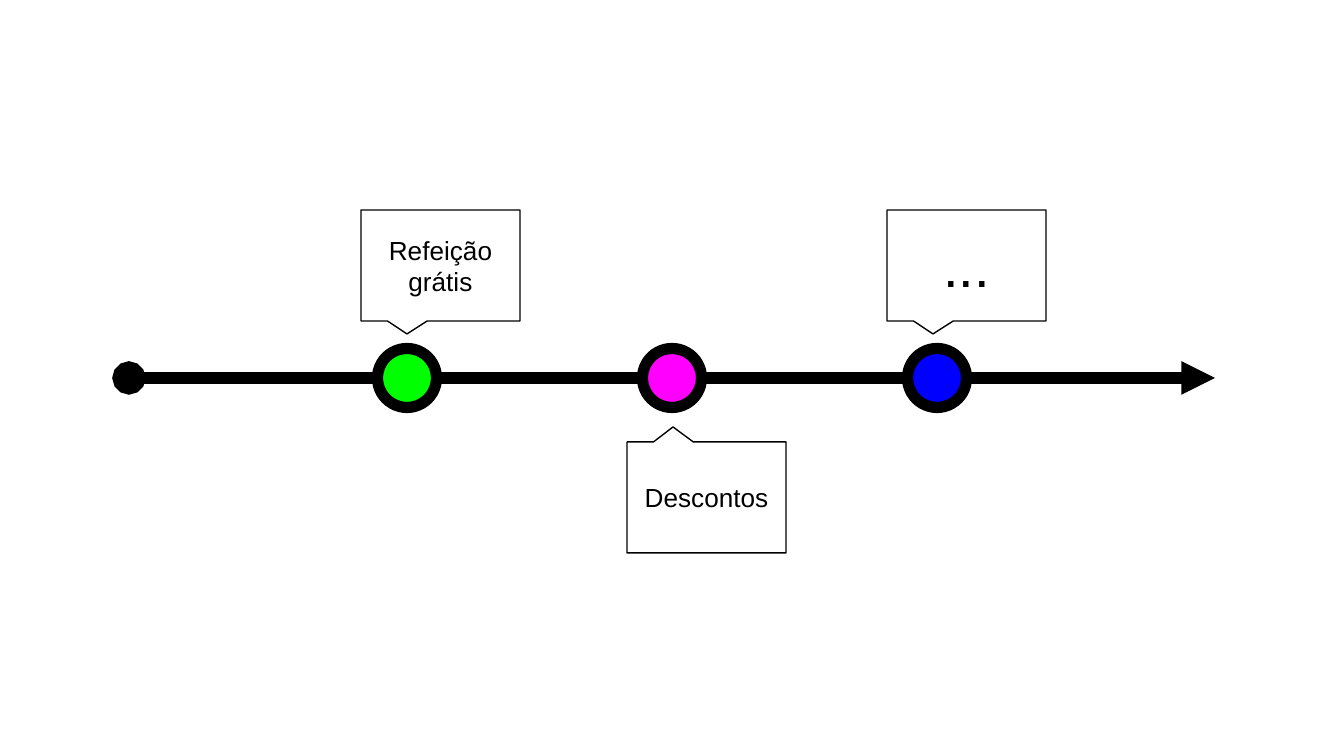
from dataclasses import dataclass

from lxml.etree import SubElement
from pptx import Presentation
from pptx.dml.color import RGBColor
from pptx.enum.shapes import MSO_CONNECTOR as Connector, MSO_SHAPE as Shape
from pptx.enum.text import MSO_ANCHOR as Anchor, PP_ALIGN as Align
from pptx.oxml.ns import qn
from pptx.util import Emu, Inches, Pt

SCALE = 914400 / 134.4


def px(length):
    return Emu(round(length * SCALE))


@dataclass(frozen=True)
class Theme:
    font: str = "Arial"
    ink: str = "000000"
    green: str = "00FF00"
    magenta: str = "FF00FF"
    blue: str = "0000FF"
    label_size: int = 14
    ellipsis_size: int = 30
    thick: float = 6
    thin: float = 0.75


class TimelineSlide:
    def __init__(self, slide, theme):
        self.slide = slide
        self.theme = theme

    def outline(self, shape, width):
        shape.line.color.rgb = RGBColor.from_string(self.theme.ink)
        shape.line.width = Pt(width)

    def axis(self, left, right, y):
        line = self.slide.shapes.add_connector(
            Connector.STRAIGHT, px(left), px(y), px(right), px(y))
        self.outline(line, self.theme.thick)
        line_properties = line.line._get_or_add_ln()
        for end, kind in (("a:headEnd", "oval"), ("a:tailEnd", "triangle")):
            SubElement(line_properties, qn(end), type=kind, w="med", len="med")
        SubElement(line._element.spPr, qn("a:effectLst"))

    def milestone(self, center_x, center_y, diameter, color):
        circle = self.slide.shapes.add_shape(
            Shape.OVAL, px(center_x - diameter / 2), px(center_y - diameter / 2),
            px(diameter), px(diameter))
        circle.shadow.inherit = False
        circle.fill.solid()
        circle.fill.fore_color.rgb = RGBColor.from_string(color)
        self.outline(circle, self.theme.thick)

    def callout(self, left, top, width, height, tip_x, tip_y, text, size):
        callout = self.slide.shapes.add_shape(
            Shape.RECTANGULAR_CALLOUT, px(left), px(top), px(width), px(height))
        callout.shadow.inherit = False
        callout.adjustments[0] = (tip_x - left) / width - 0.5
        callout.adjustments[1] = (tip_y - top) / height - 0.5
        callout.fill.background()
        self.outline(callout, self.theme.thin)
        frame = callout.text_frame
        frame.word_wrap = True
        frame.vertical_anchor = Anchor.MIDDLE
        frame.margin_left = frame.margin_right = Inches(0.1)
        frame.margin_top = frame.margin_bottom = Inches(0.1)
        frame.text = text
        paragraph = frame.paragraphs[0]
        paragraph.alignment = Align.CENTER
        font = paragraph.runs[0].font
        font.name = self.theme.font
        font.size = Pt(size)
        font.color.rgb = RGBColor.from_string(self.theme.ink)


theme = Theme()
presentation = Presentation()
presentation.slide_width = px(1344)
presentation.slide_height = px(756)
timeline = TimelineSlide(
    presentation.slides.add_slide(presentation.slide_layouts[6]), theme)

AXIS_Y = 378
FIRST_X, STEP = 407, 265
UPPER_TOP, UPPER_TIP = 210, 334
LOWER_TOP, LOWER_TIP = 442, 427

timeline.axis(129, 1215, AXIS_Y)
for index, color in enumerate((theme.green, theme.magenta, theme.blue)):
    timeline.milestone(FIRST_X + index * STEP, AXIS_Y, 59, color)

callouts = (
    (361, UPPER_TOP, UPPER_TIP, "Refeição grátis", theme.label_size),
    (627, LOWER_TOP, LOWER_TIP, "Descontos", theme.label_size),
    (887, UPPER_TOP, UPPER_TIP, "...", theme.ellipsis_size),
)
for left, top, tip_y, text, size in callouts:
    timeline.callout(left, top, 159, 111, left + 46, tip_y, text, size)

presentation.save("out.pptx")
